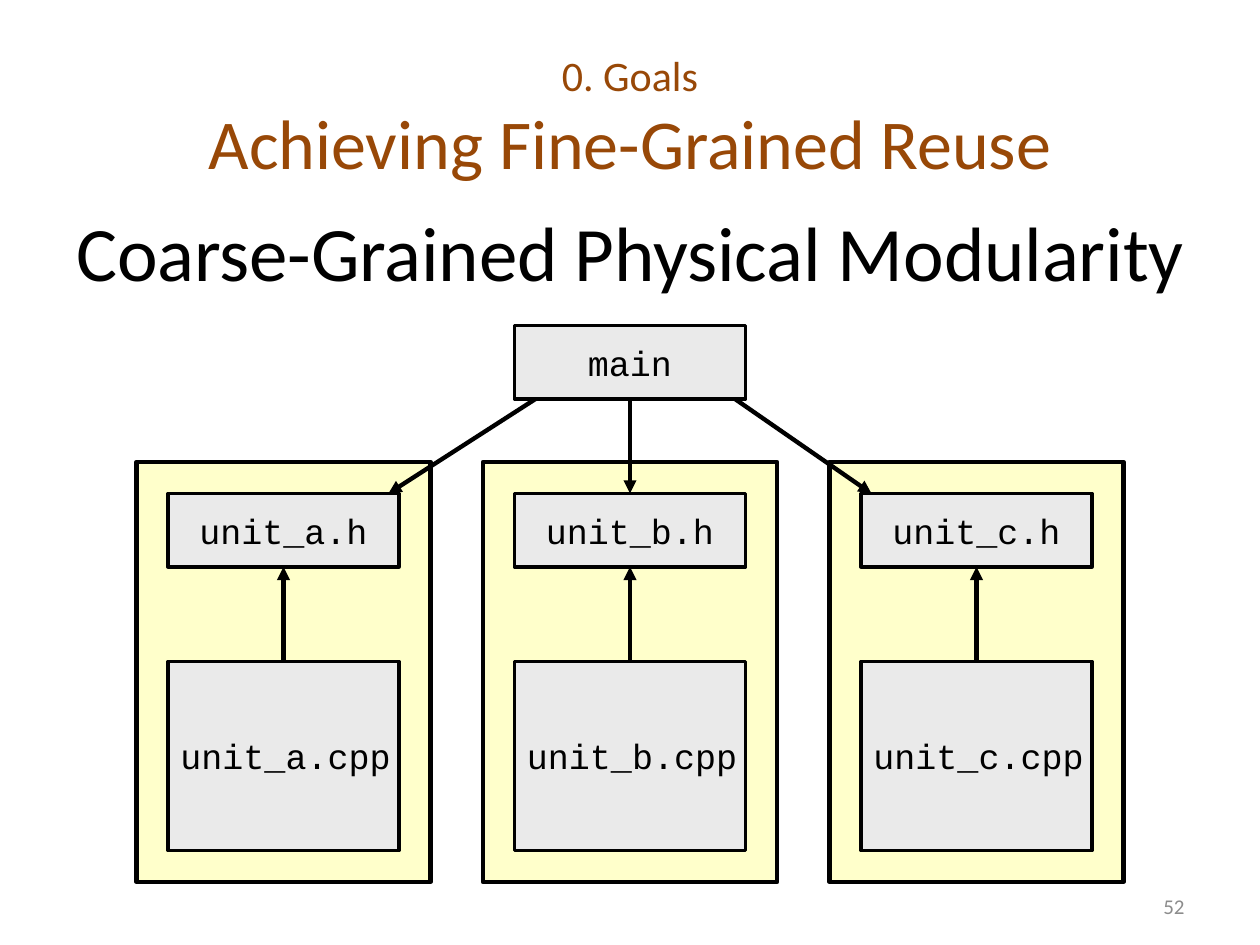
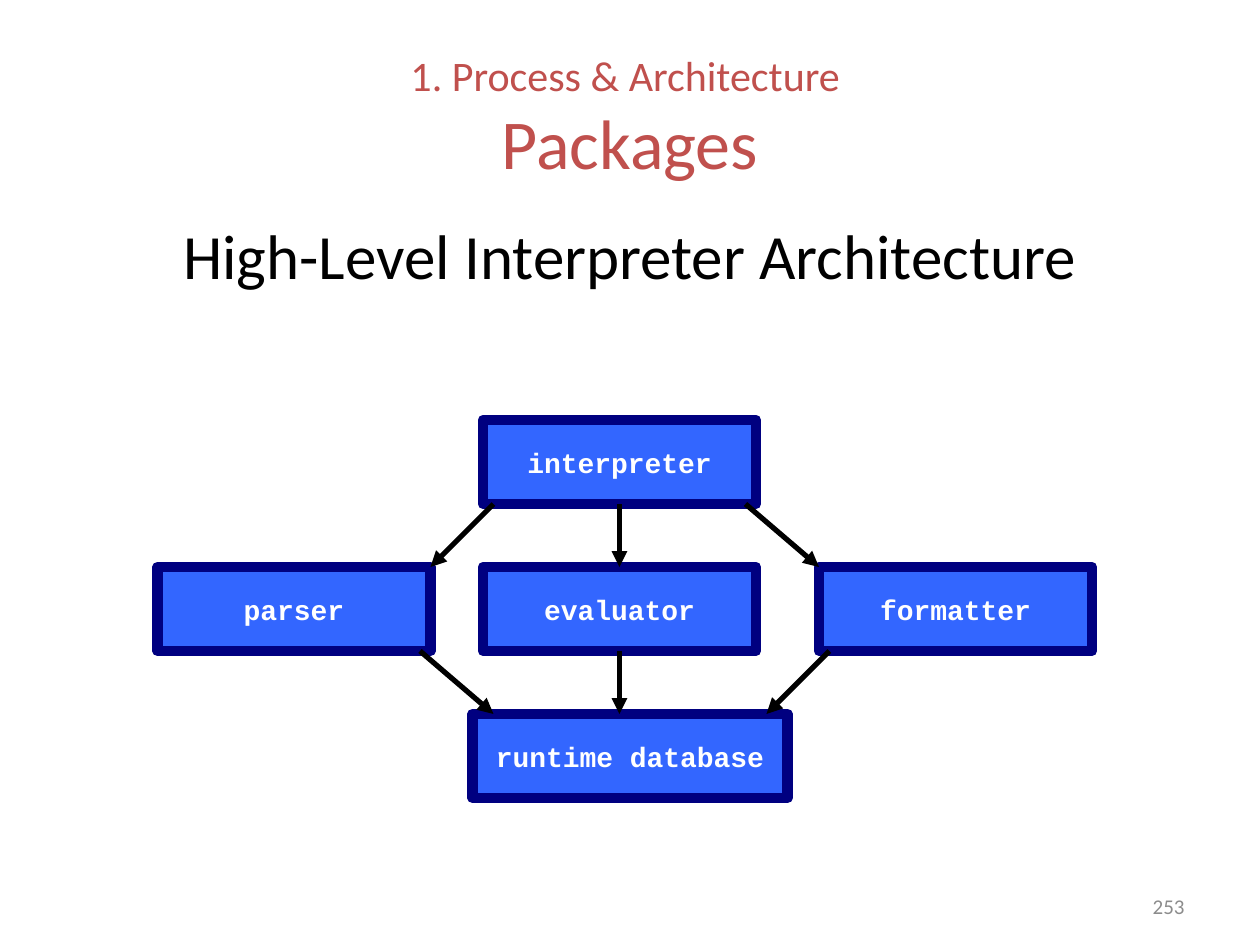
from dataclasses import dataclass

from lxml.etree import SubElement
from pptx import Presentation
from pptx.dml.color import RGBColor
from pptx.enum.shapes import MSO_CONNECTOR, MSO_SHAPE
from pptx.enum.text import MSO_ANCHOR, PP_ALIGN
from pptx.oxml.ns import qn
from pptx.slide import Slide
from pptx.text.text import _Paragraph
from pptx.util import Pt

COLORS = {
    "goals": "984807",
    "process": "C0504D",
    "black": "000000",
    "white": "FFFFFF",
    "file": "EAEAEA",
    "unit": "FFFF99",
    "package": "3366FF",
    "package_border": "000080",
    "page_number": "8C8C8C",
}
TEXT_FONT = "Calibri"
CODE_FONT = "Courier New"
SIDE_MARGIN = 36
CONTENT_WIDTH = 648


@dataclass(frozen=True)
class TextStyle:
    font: str
    size: float
    color: str
    bold: bool = False
    spacing: int = 0


@dataclass(frozen=True)
class BoxStyle:
    fill: str
    border: str
    border_width: float
    text: TextStyle | None = None
    opacity: int = 100


@dataclass(frozen=True)
class Box:
    left: float
    top: float
    width: float
    height: float
    label: str = ""
    align: PP_ALIGN = PP_ALIGN.CENTER


@dataclass(frozen=True)
class Arrow:
    start_x: float
    start_y: float
    end_x: float
    end_y: float


PAGE_NUMBER_TEXT = TextStyle(TEXT_FONT, 12, "page_number")
FILE_STYLE = BoxStyle("file", "black", 2, TextStyle(CODE_FONT, 20, "black"))
UNIT_STYLE = BoxStyle("unit", "black", 2.5, opacity=50)
PACKAGE_STYLE = BoxStyle(
    "package", "package_border", 6, TextStyle(CODE_FONT, 16, "white", bold=True)
)


def rgb(name: str) -> RGBColor:
    return RGBColor.from_string(COLORS[name])


def add_text(paragraph: _Paragraph, text: str, style: TextStyle) -> None:
    run = paragraph.add_run()
    run.text = text
    run.font.name = style.font
    run.font.size = Pt(style.size)
    run.font.bold = style.bold
    run.font.color.rgb = rgb(style.color)
    if style.spacing:
        run.font._element.set("spc", str(style.spacing))


def add_title(slide: Slide, section: str, topic: str, color: str) -> None:
    title = slide.shapes.title
    title.left, title.top = Pt(SIDE_MARGIN), Pt(21.6)
    title.width, title.height = Pt(CONTENT_WIDTH), Pt(90)
    title.text_frame.vertical_anchor = MSO_ANCHOR.MIDDLE
    title.text_frame.word_wrap = False
    paragraph = title.text_frame.paragraphs[0]
    paragraph.alignment = PP_ALIGN.CENTER
    add_text(paragraph, section, TextStyle(TEXT_FONT, 24, color))
    paragraph.add_line_break()
    line_break = paragraph._p.find(qn("a:br"))
    SubElement(line_break, qn("a:rPr")).set("sz", "2400")
    add_text(paragraph, topic, TextStyle(TEXT_FONT, 40, color))


def add_text_box(slide: Slide, box: Box, style: TextStyle) -> _Paragraph:
    shape = slide.shapes.add_textbox(
        Pt(box.left), Pt(box.top), Pt(box.width), Pt(box.height)
    )
    shape.text_frame.word_wrap = True
    paragraph = shape.text_frame.paragraphs[0]
    paragraph.alignment = box.align
    add_text(paragraph, box.label, style)
    return paragraph


def add_subtitle(slide: Slide, text: str, top: float, style: TextStyle) -> _Paragraph:
    bleed = 7.2
    box = Box(SIDE_MARGIN - bleed, top, CONTENT_WIDTH + 2 * bleed, 78, text)
    return add_text_box(slide, box, style)


def add_page_number(slide: Slide, number: str) -> None:
    box = Box(516, 507, 168, 22, number, PP_ALIGN.RIGHT)
    add_text_box(slide, box, PAGE_NUMBER_TEXT)


def add_box(slide: Slide, box: Box, style: BoxStyle) -> None:
    shape = slide.shapes.add_shape(
        MSO_SHAPE.RECTANGLE, Pt(box.left), Pt(box.top), Pt(box.width), Pt(box.height)
    )
    shape.shadow.inherit = False
    shape.fill.solid()
    shape.fill.fore_color.rgb = rgb(style.fill)
    shape.line.color.rgb = rgb(style.border)
    shape.line.width = Pt(style.border_width)
    if style.opacity < 100:
        color = shape._element.spPr.find(qn("a:solidFill")).find(qn("a:srgbClr"))
        SubElement(color, qn("a:alpha")).set("val", str(style.opacity * 1000))
    if style.text:
        shape.text_frame.word_wrap = False
        shape.text_frame.vertical_anchor = MSO_ANCHOR.MIDDLE
        paragraph = shape.text_frame.paragraphs[0]
        paragraph.alignment = box.align
        add_text(paragraph, box.label, style.text)


def add_arrow(slide: Slide, arrow: Arrow, width: float) -> None:
    connector = slide.shapes.add_connector(
        MSO_CONNECTOR.STRAIGHT,
        Pt(arrow.start_x), Pt(arrow.start_y), Pt(arrow.end_x), Pt(arrow.end_y),
    )
    connector.line.color.rgb = rgb("black")
    connector.line.width = Pt(width)
    SubElement(connector.line._get_or_add_ln(), qn("a:tailEnd")).set("type", "triangle")
    SubElement(connector._element.spPr, qn("a:effectLst"))


def build_modularity_slide(slide: Slide) -> None:
    add_title(slide, "0. Goals", "Achieving Fine-Grained Reuse", "goals")
    subtitle_style = TextStyle(TEXT_FONT, 44, "black", spacing=-10)
    subtitle = add_subtitle(
        slide, "Coarse-Grained Physical Modularity", 126, subtitle_style
    )
    subtitle.line_spacing = Pt(40)

    file_width, header_height, padding = 132, 42, 18
    unit_width, unit_height, unit_top = 168, 240, 264
    header_top, source_top = unit_top + padding, 378
    add_box(slide, Box(294, 186, file_width, header_height, "main"), FILE_STYLE)
    for index, letter in enumerate("abc"):
        unit_left = 78 + 198 * index
        file_left = unit_left + padding
        center = unit_left + unit_width / 2
        header = Box(
            file_left, header_top, file_width, header_height, f"unit_{letter}.h"
        )
        source = Box(
            file_left, source_top, file_width, 108, f"unit_{letter}.cpp", PP_ALIGN.LEFT
        )
        add_box(slide, Box(unit_left, unit_top, unit_width, unit_height), UNIT_STYLE)
        add_box(slide, header, FILE_STYLE)
        add_box(slide, source, FILE_STYLE)
        add_arrow(
            slide, Arrow(center, source_top, center, header_top + header_height), 2.5
        )
    for start_x, end_x in ((306, 222), (360, 360), (420, 498)):
        add_arrow(slide, Arrow(start_x, 228, end_x, header_top), 2.5)
    add_page_number(slide, "52")


def build_packages_slide(slide: Slide) -> None:
    add_title(slide, "1. Process & Architecture ", "Packages", "process")
    add_subtitle(
        slide, "High-Level Interpreter Architecture", 120,
        TextStyle(TEXT_FONT, 36, "black"),
    )

    width, height, row_pitch = 156, 48, 84
    tops = [240 + row_pitch * row for row in range(3)]
    packages = (
        Box(276, tops[0], width, height, "interpreter"),
        Box(90, tops[1], width, height, "parser"),
        Box(276, tops[1], width, height, "evaluator"),
        Box(468, tops[1], width, height, "formatter"),
        Box(270, tops[2], 180, height, "runtime database"),
    )
    for package in packages:
        add_box(slide, package, PACKAGE_STYLE)
    dependencies = (
        ((282, 246), (354, 354), (426, 468)),
        ((240, 282), (354, 354), (474, 438)),
    )
    for row, ends in enumerate(dependencies):
        for start_x, end_x in ends:
            add_arrow(
                slide, Arrow(start_x, tops[row] + height, end_x, tops[row + 1]), 3
            )
    add_page_number(slide, "253")


def main() -> None:
    presentation = Presentation()
    presentation.slide_width, presentation.slide_height = Pt(720), Pt(540)
    title_only = presentation.slide_layouts.get_by_name("Title Only")
    for build in (build_modularity_slide, build_packages_slide):
        build(presentation.slides.add_slide(title_only))
    presentation.save("out.pptx")


if __name__ == "__main__":
    main()
